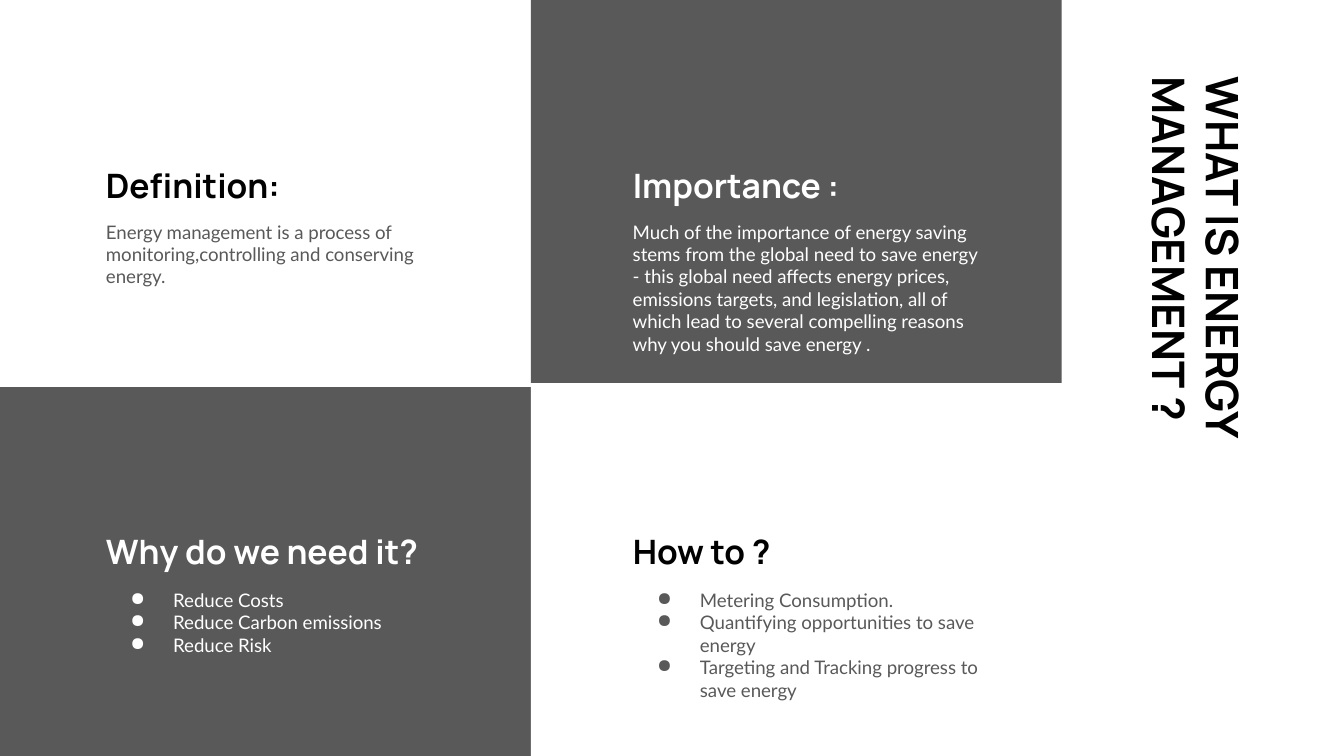
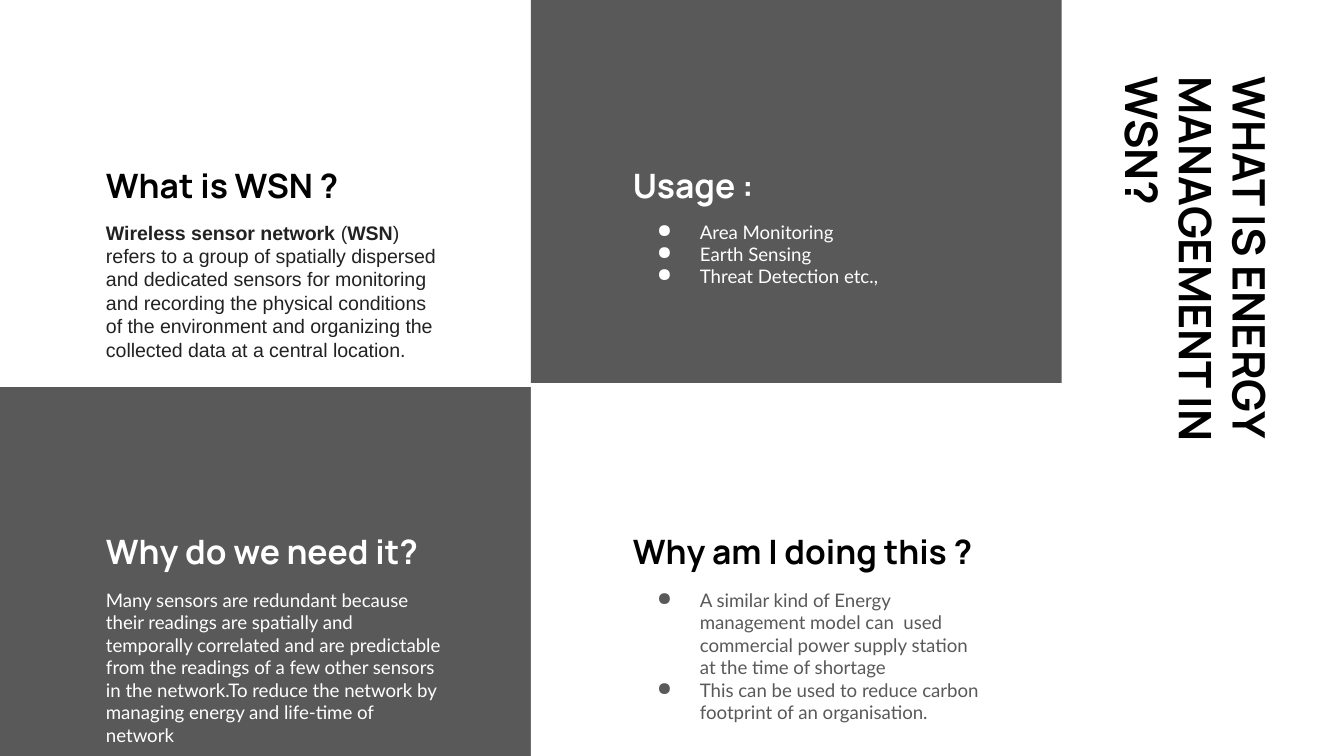
from lxml.etree import SubElement
from pptx import Presentation
from pptx.dml.color import RGBColor
from pptx.enum.shapes import MSO_SHAPE
from pptx.enum.text import MSO_ANCHOR
from pptx.oxml.ns import qn
from pptx.util import Pt

BLACK = RGBColor(0x00, 0x00, 0x00)
INK = RGBColor(0x22, 0x22, 0x22)
GRAY = RGBColor(0x59, 0x59, 0x59)
WHITE = RGBColor(0xFF, 0xFF, 0xFF)

HEAD_FONT = "Manrope"
BODY_FONT = "Lato"

SLIDE_W, SLIDE_H = 720, 405
COL_W = 284.4
TOP_H = 205.2
BOTTOM_Y = 207.4
BOTTOM_H = SLIDE_H - BOTTOM_Y
HEADING_H = 51
TITLE_BOX = (526.3, 129.6, 229.7, 38.2)

LEFT_COL = dict(inset=49.7, heading_w=226, body_w=195)
RIGHT_COL = dict(inset=47.5, heading_w=212, body_w=203.8)
TOP_ROW = dict(heading_y=66.2, body_y=110.9, body_h=59)
BOTTOM_ROW = dict(heading_y=54.7, body_y=100.8, body_h=74)

PANELS = [
    dict(box=(0, 0, COL_W, TOP_H), fill=None, **LEFT_COL, **TOP_ROW),
    dict(box=(COL_W, 0, COL_W, TOP_H), fill=GRAY, **RIGHT_COL, **TOP_ROW),
    dict(box=(0, BOTTOM_Y, COL_W, BOTTOM_H), fill=GRAY, **LEFT_COL, **BOTTOM_ROW),
    dict(box=(COL_W, BOTTOM_Y, COL_W, BOTTOM_H), fill=WHITE, **RIGHT_COL, **BOTTOM_ROW),
]

ENERGY = [
    dict(heading="Definition:", paras=[
        "Energy management is a process of monitoring,controlling and conserving energy."]),
    dict(heading="Importance :", paras=[
        "Much of the importance of energy saving stems from the global need to save energy "
        "- this global need affects energy prices, emissions targets, and legislation, all of "
        "which lead to several compelling reasons why you should save energy ."]),
    dict(heading="Why do we need it?", bullets=True, paras=[
        "Reduce Costs", "Reduce Carbon emissions", "Reduce Risk"]),
    dict(heading="How to ?", bullets=True, paras=[
        "Metering Consumption.",
        "Quantifying opportunities to save energy",
        "Targeting and Tracking progress to save energy"]),
]

WSN = [
    dict(heading="What is WSN ?", font="Arial", size=10.5, color=INK, paras=[[
        ("Wireless sensor network", True), (" (", False), ("WSN", True),
        (") refers to a group of spatially dispersed and dedicated sensors for monitoring "
         "and recording the physical conditions of the environment and organizing the "
         "collected data at a central location.", False)]]),
    dict(heading="Usage :", bullets=True, paras=[
        "Area Monitoring", "Earth Sensing", "Threat Detection etc.,"]),
    dict(heading="Why do we need it?", paras=[
        "Many sensors are redundant because their readings are spatially and temporally "
        "correlated and are predictable from the readings of a few other sensors in the "
        "network.To reduce the network by managing energy and life-time of network"]),
    dict(heading="Why am I doing this ?", bullets=True, paras=[
        "A similar kind of Energy management model can  used commercial power supply "
        "station at the time of shortage",
        "This can be used to reduce carbon footprint of an organisation."]),
]


def add_bullet(p, color):
    """Give a paragraph a hanging round bullet."""
    pPr = p._p.get_or_add_pPr()
    pPr.set("marL", str(Pt(36)))
    pPr.set("indent", str(Pt(-23)))
    clr = SubElement(pPr, qn("a:buClr"))
    SubElement(clr, qn("a:srgbClr"), val=str(color))
    SubElement(pPr, qn("a:buChar"), char="●")


def add_text(slide, box, paras, *, font=BODY_FONT, size=10, color=BLACK, bold=False,
             anchor=MSO_ANCHOR.TOP, bullets=False, rotation=0):
    """Add a text box whose paragraphs are strings or lists of (text, bold) runs."""
    sp = slide.shapes.add_textbox(*map(Pt, box))
    sp.rotation = rotation
    tf = sp.text_frame
    tf.word_wrap = True
    tf.vertical_anchor = anchor
    tf.margin_left = tf.margin_right = tf.margin_top = tf.margin_bottom = Pt(7.2)
    for i, para in enumerate(paras):
        p = tf.add_paragraph() if i else tf.paragraphs[0]
        if bullets:
            add_bullet(p, color)
        for text, strong in [(para, bold)] if isinstance(para, str) else para:
            r = p.add_run()
            r.text = text
            r.font.name = font
            r.font.size = Pt(size)
            r.font.bold = strong
            r.font.color.rgb = color
    return sp


def add_block(slide, box, fill):
    """Draw a plain filled rectangle."""
    sp = slide.shapes.add_shape(MSO_SHAPE.RECTANGLE, *map(Pt, box))
    sp.shadow.inherit = False
    sp.fill.solid()
    sp.fill.fore_color.rgb = fill
    sp.line.fill.background()


def add_panel(slide, panel, heading, paras, **body_format):
    """Place one quadrant's block, heading and body relative to its box."""
    x, y, _, _ = panel["box"]
    dark = panel["fill"] == GRAY
    if panel["fill"] is not None:
        add_block(slide, panel["box"], panel["fill"])
    left = x + panel["inset"]
    add_text(slide, (left, y + panel["heading_y"], panel["heading_w"], HEADING_H), [heading],
             font=HEAD_FONT, size=18, bold=True, anchor=MSO_ANCHOR.BOTTOM,
             color=WHITE if dark else BLACK)
    body_format.setdefault("color", WHITE if dark else GRAY)
    add_text(slide, (left, y + panel["body_y"], panel["body_w"], panel["body_h"]), paras,
             **body_format)


def add_quadrant_slide(prs, title, contents):
    """Add a slide with four panels and a title turned down the right side."""
    slide = prs.slides.add_slide(prs.slide_layouts[6])
    slide.background.fill.solid()
    slide.background.fill.fore_color.rgb = WHITE
    add_text(slide, TITLE_BOX, [title], font=HEAD_FONT, size=24, bold=True,
             anchor=MSO_ANCHOR.MIDDLE, rotation=90)
    for panel, content in zip(PANELS, contents):
        add_panel(slide, panel, **content)


def main():
    """Build and save the two slides."""
    prs = Presentation()
    prs.slide_width, prs.slide_height = Pt(SLIDE_W), Pt(SLIDE_H)
    add_quadrant_slide(prs, "WHAT IS ENERGY MANAGEMENT ?", ENERGY)
    add_quadrant_slide(prs, "WHAT IS ENERGY MANAGEMENT IN WSN?", WSN)
    prs.save("out.pptx")


if __name__ == "__main__":
    main()
